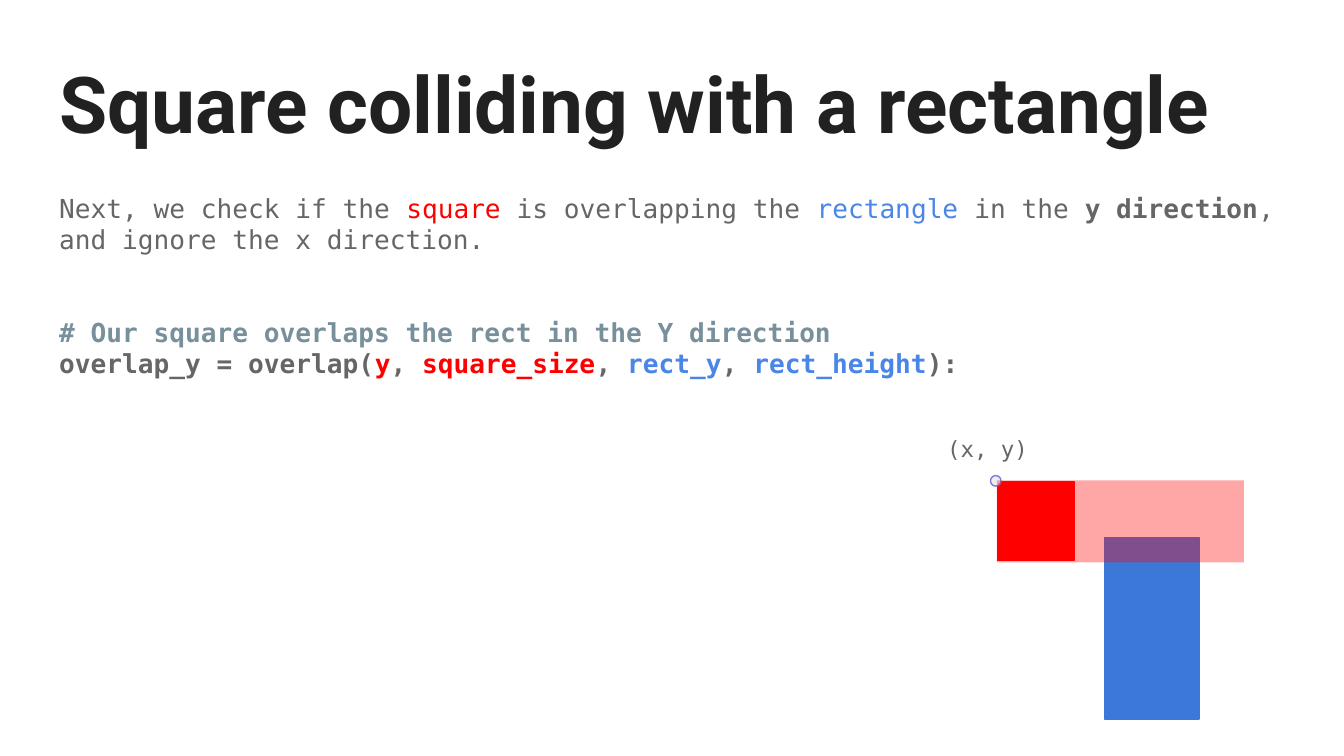
from pptx import Presentation
from pptx.dml.color import RGBColor
from pptx.enum.shapes import MSO_SHAPE as Shape
from pptx.enum.text import MSO_ANCHOR as Anchor
from pptx.oxml.ns import qn
from pptx.util import Cm, Pt
from lxml.etree import SubElement

INK = RGBColor(0x21, 0x21, 0x21)
GREY = RGBColor(0x66, 0x66, 0x66)
COMMENT = RGBColor(0x78, 0x90, 0x9C)
RED = RGBColor(0xFF, 0x00, 0x00)
SKY = RGBColor(0x4A, 0x86, 0xE8)
BLUE = RGBColor(0x3C, 0x78, 0xD8)
LILAC = RGBColor(0x7C, 0x7C, 0xE0)
PALE = RGBColor(0xEE, 0xEE, 0xEE)
MONO = "DejaVu Sans Mono"

prs = Presentation()
prs.slide_width, prs.slide_height = Cm(25.4), Cm(14.29)
slide = prs.slides.add_slide(prs.slide_layouts[6])


def add_text(place, paragraphs, font_name, size, anchor=Anchor.TOP):
    frame = slide.shapes.add_textbox(*map(Cm, place)).text_frame
    layout = {"word_wrap": True, "vertical_anchor": anchor}
    for side in ("left", "right", "top", "bottom"):
        layout[f"margin_{side}"] = Cm(0.25)
    for name, value in layout.items():
        setattr(frame, name, value)
    for index, (space, runs) in enumerate(paragraphs):
        paragraph = frame.add_paragraph() if index else frame.paragraphs[0]
        if space:
            paragraph.space_before = Pt(space)
        for text, color, bold in runs:
            run = paragraph.add_run()
            run.text = text
            run.font.color.rgb = color
            for name, value in {"name": font_name, "size": Pt(size), "bold": bold}.items():
                setattr(run.font, name, value)


def add_block(kind, place, fill, line=None):
    block = slide.shapes.add_shape(kind, *map(Cm, place))
    block.shadow.inherit = False
    block.fill.solid()
    block.fill.fore_color.rgb = fill
    if line is None:
        block.line.fill.background()
    else:
        block.line.color.rgb = line
        block.line.width = Pt(0.75)
    return block


title = [("Square colliding with a rectangle", INK, True)]
add_text((0.87, 0.81, 23.67, 2.24), [(0, title)], "Roboto", 42, Anchor.MIDDLE)

add_block(Shape.RECTANGLE, (20.88, 10.16, 1.78, 3.43), BLUE, BLUE)
add_block(Shape.RECTANGLE, (18.85, 9.1, 1.45, 1.5), RED, RED)

explanation = [
    ("Next, we check if the ", GREY, False),
    ("square", RED, False),
    (" is overlapping the ", GREY, False),
    ("rectangle ", SKY, False),
    ("in the ", GREY, False),
    ("y direction", GREY, True),
    (", and ignore the x direction.", GREY, False),
]
code_comment = [("# Our square overlaps the rect in the Y direction", COMMENT, True)]
code_call = [("overlap_y = overlap(", GREY, True)]
arguments = [("y", RED), ("square_size", RED), ("rect_y", SKY), ("rect_height", SKY)]
for position, (argument, color) in enumerate(arguments, 1):
    separator = ", " if position < len(arguments) else "):"
    code_call += [(argument, color, True), (separator, GREY, True)]
add_text(
    (0.87, 3.38, 24.03, 4.83),
    [(0, explanation), (33, code_comment), (0, code_call)],
    MONO,
    14,
)

add_text((17.65, 7.98, 2.36, 1.02), [(0, [("(x, y)", GREY, False)])], MONO, 12)
add_block(Shape.OVAL, (18.72, 8.99, 0.2, 0.2), PALE, LILAC)

sweep = add_block(Shape.RECTANGLE, (20.4, 7.52, 1.55, 4.67), RED)
sweep.rotation = 90
sweep_color = sweep.fill._xPr.find(qn("a:solidFill"))[0]
SubElement(sweep_color, qn("a:alpha"), val="35000")

prs.save("out.pptx")
